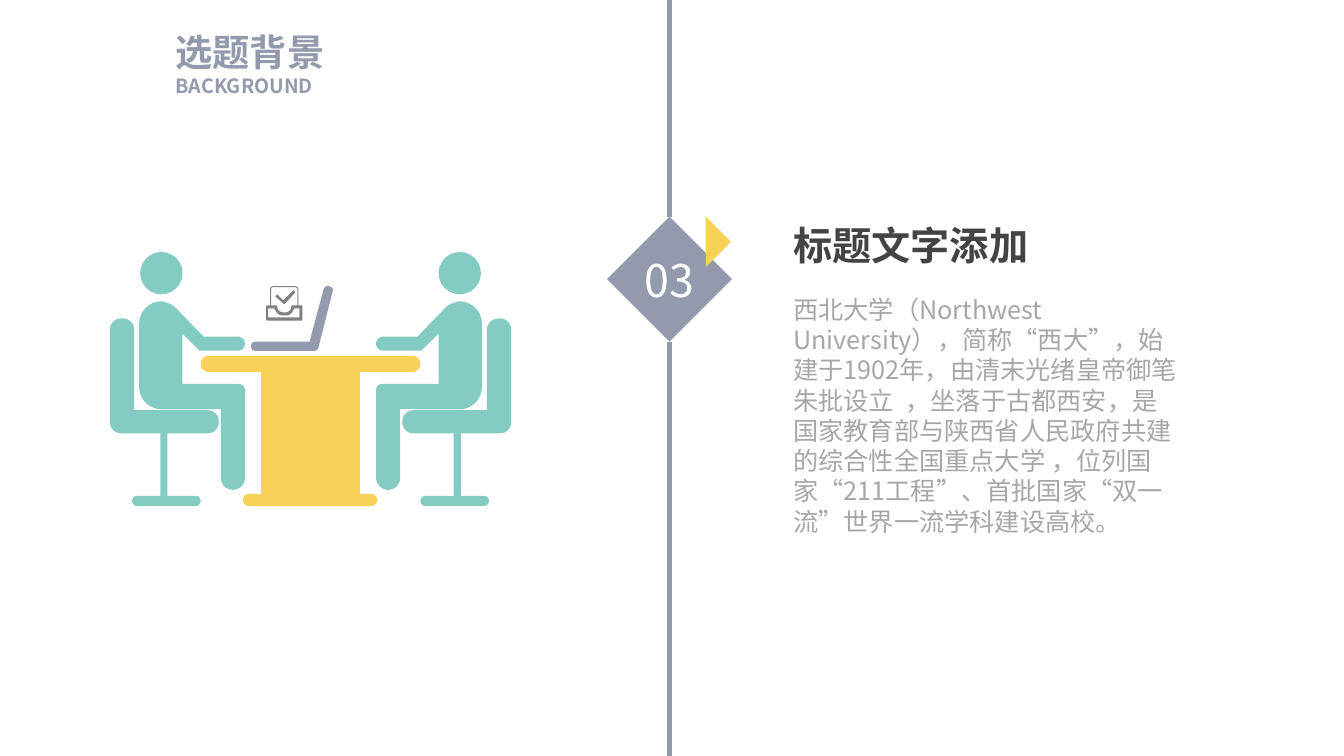
from pptx import Presentation
from pptx.dml.color import RGBColor
from pptx.enum.shapes import MSO_CONNECTOR, MSO_SHAPE
from pptx.enum.text import MSO_ANCHOR, PP_ALIGN
from pptx.oxml.ns import qn
from pptx.util import Inches, Pt
from lxml.etree import SubElement
from math import hypot

SLATE = RGBColor(0x93, 0x9A, 0xAE)
TEAL = RGBColor(0x84, 0xCB, 0xC3)
YELLOW = RGBColor(0xF8, 0xD1, 0x58)
GRAY = RGBColor(0x80, 0x80, 0x80)
DARK = RGBColor(0x44, 0x43, 0x43)
LIGHT = RGBColor(0xA6, 0xA6, 0xA6)
WHITE = RGBColor(0xFF, 0xFF, 0xFF)
FONT = "Noto Sans CJK SC"

prs = Presentation()
prs.slide_width, prs.slide_height = Inches(13.33), Inches(7.5)
s = prs.slides.add_slide(prs.slide_layouts[6])


def rounded(corners):
    """Turn (x, y, radius) corners into outline points in EMU."""
    pts = []
    for i, (x, y, radius) in enumerate(corners):
        if not radius:
            pts.append((Inches(x), Inches(y)))
            continue
        ends = []
        for nx, ny, _ in (corners[i - 1], corners[(i + 1) % len(corners)]):
            t = radius / hypot(nx - x, ny - y)
            ends.append((x + (nx - x) * t, y + (ny - y) * t))
        (ax, ay), (bx, by) = ends
        for step in range(9):
            t = step / 8
            # Cubic curve close to a quarter circle
            wa = (1 - t) ** 3 + 1.35 * t * (1 - t) ** 2
            wb = t ** 3 + 1.35 * t ** 2 * (1 - t)
            wc = 1 - wa - wb
            pts.append((Inches(wa * ax + wb * bx + wc * x),
                        Inches(wa * ay + wb * by + wc * y)))
    return pts


def style_run(r, size, color, bold=False, font=FONT):
    r.font.size, r.font.bold, r.font.name = Pt(size), bold, font
    r.font.color.rgb = color
    SubElement(r.font._element, qn("a:ea")).set("typeface", font)


# Outlines as corners with radii
chair = [(1.09, 3.16, .11), (1.33, 3.16, .11), (1.33, 4.07, 0), (2.17, 4.07, .11),
         (2.17, 4.3, .11), (1.66, 4.3, 0), (1.66, 4.92, 0), (1.99, 4.92, .05),
         (1.99, 5.02, .05), (1.31, 5.02, .05), (1.31, 4.92, .05), (1.59, 4.92, 0),
         (1.59, 4.3, 0), (1.09, 4.3, .11)]
body = [(1.38, 2.99, .22), (1.68, 2.99, .09), (2.02, 3.34, 0), (2.43, 3.34, .07),
        (2.43, 3.48, .07), (1.98, 3.48, 0), (1.81, 3.31, 0), (1.81, 3.81, 0),
        (2.43, 3.81, .06), (2.43, 4.86, .12), (2.19, 4.86, .12), (2.19, 4.06, 0),
        (1.38, 4.06, .22)]
table = [(1.99, 3.53, .08), (4.17, 3.53, .08), (4.17, 3.69, .08), (3.57, 3.69, 0),
         (3.57, 4.9, 0), (3.74, 4.9, .06), (3.74, 5.02, .06), (2.41, 5.02, .06),
         (2.41, 4.9, .06), (2.59, 4.9, 0), (2.59, 3.69, 0), (1.99, 3.69, .08)]
laptop = [(2.49, 3.39, .04), (3.07, 3.39, 0), (3.22, 2.83, .04), (3.31, 2.85, .04),
          (3.15, 3.48, .03), (2.49, 3.48, .04)]
tray = [(2.64, 3.03, .01), (2.68, 3.03, 0), (2.68, 2.84, .03), (2.96, 2.84, .03),
        (2.96, 3.03, 0), (3, 3.03, .01), (3, 3.18, .01), (2.64, 3.18, .01)]
paper = [(2.69, 2.85, .02), (2.95, 2.85, .02), (2.95, 3.03, 0), (2.89, 3.03, 0),
         (2.89, 3.1, .06), (2.75, 3.1, .06), (2.75, 3.03, 0), (2.69, 3.03, 0)]
check = [(2.73, 2.94, 0), (2.75, 2.92, 0), (2.81, 2.98, 0), (2.91, 2.88, 0),
         (2.93, 2.9, 0), (2.82, 3.02, .01)]
tray_front = [(2.66, 3.06, 0), (2.72, 3.06, 0), (2.76, 3.13, .04), (2.88, 3.13, .04),
              (2.92, 3.06, 0), (2.97, 3.06, 0), (2.97, 3.15, 0), (2.66, 3.15, 0)]
flag = [(7, 2.15, 0), (7.25, 2.4, 0), (7, 2.65, 0)]

# The right-hand chair and person mirror the left-hand ones
MIRROR = 6.16
mirrored = [[(MIRROR - x, y, radius) for x, y, radius in part] for part in (chair, body)]

# Heads
for left in (1.39, MIRROR - 1.39 - 0.42):
    head = s.shapes.add_shape(MSO_SHAPE.OVAL, Inches(left), Inches(2.5),
                              Inches(0.42), Inches(0.42))
    head.shadow.inherit = False
    head.fill.solid()
    head.fill.fore_color.rgb = TEAL
    head.line.fill.background()

# Numbered diamond
diamond = s.shapes.add_shape(MSO_SHAPE.DIAMOND, Inches(6.02), Inches(2.15),
                             Inches(1.24), Inches(1.24))
diamond.shadow.inherit = False
diamond.fill.solid()
diamond.fill.fore_color.rgb = SLATE
diamond.line.fill.background()
tf = diamond.text_frame
tf.margin_left = tf.margin_right = tf.margin_top = tf.margin_bottom = 0
tf.vertical_anchor = MSO_ANCHOR.MIDDLE
tf.text = "03"
tf.paragraphs[0].alignment = PP_ALIGN.CENTER
style_run(tf.paragraphs[0].runs[0], 32, WHITE)

# Meeting scene and yellow flag
for contours, color in [([chair], TEAL), ([body], TEAL), ([mirrored[0]], TEAL),
                        ([mirrored[1]], TEAL), ([table], YELLOW), ([laptop], SLATE),
                        ([tray, paper, check, tray_front], GRAY), ([flag], YELLOW)]:
    outlines = [rounded(c) for c in contours]
    fb = s.shapes.build_freeform(*outlines[0][0])
    fb.add_line_segments(outlines[0][1:])
    for outline in outlines[1:]:
        fb.move_to(*outline[0])
        fb.add_line_segments(outline[1:])
    sp = fb.convert_to_shape()
    sp.shadow.inherit = False
    sp.fill.solid()
    sp.fill.fore_color.rgb = color
    sp.line.fill.background()

# Vertical line above and below the diamond
for y, site, edge in [(0, 0, 2.15), (7.5, 2, 3.39)]:
    line = s.shapes.add_connector(MSO_CONNECTOR.STRAIGHT, Inches(6.64), Inches(y),
                                  Inches(6.64), Inches(edge))
    line.end_connect(diamond, site)
    line.line.color.rgb = SLATE
    line.line.width = Pt(3)
    SubElement(line._element.spPr, qn("a:effectLst"))

# Title and body text
for top, width, height, text, size, color, bold in [
    (2.15, 3.9, 0.57, "标题文字添加", 28, DARK, True),
    (2.87, 4.05, 2.52,
     "西北大学（Northwest University），简称“西大”，始建于1902年，"
     "由清末光绪皇帝御笔朱批设立  ，坐落于古都西安，是国家教育部与陕西省人民政府共建的"
     "综合性全国重点大学 ，位列国家“211工程”、首批国家“双一流”世界一流学科建设高校。",
     18, LIGHT, False),
]:
    tf = s.shapes.add_textbox(Inches(7.77), Inches(top), Inches(width),
                              Inches(height)).text_frame
    tf.word_wrap = True
    tf.text = text
    style_run(tf.paragraphs[0].runs[0], size, color, bold)

# Page heading
tf = s.shapes.add_textbox(Inches(1.74), Inches(0.29), Inches(1.49), Inches(0.68)).text_frame
tf.margin_left = tf.margin_right = tf.margin_top = tf.margin_bottom = 0
tf.word_wrap = False
tf.text = "选题背景\nBACKGROUND"
for p, size, font in zip(tf.paragraphs, (26.6, 14), ("Roboto Condensed", FONT)):
    style_run(p.runs[0], size, SLATE, True, font)

prs.save("out.pptx")
